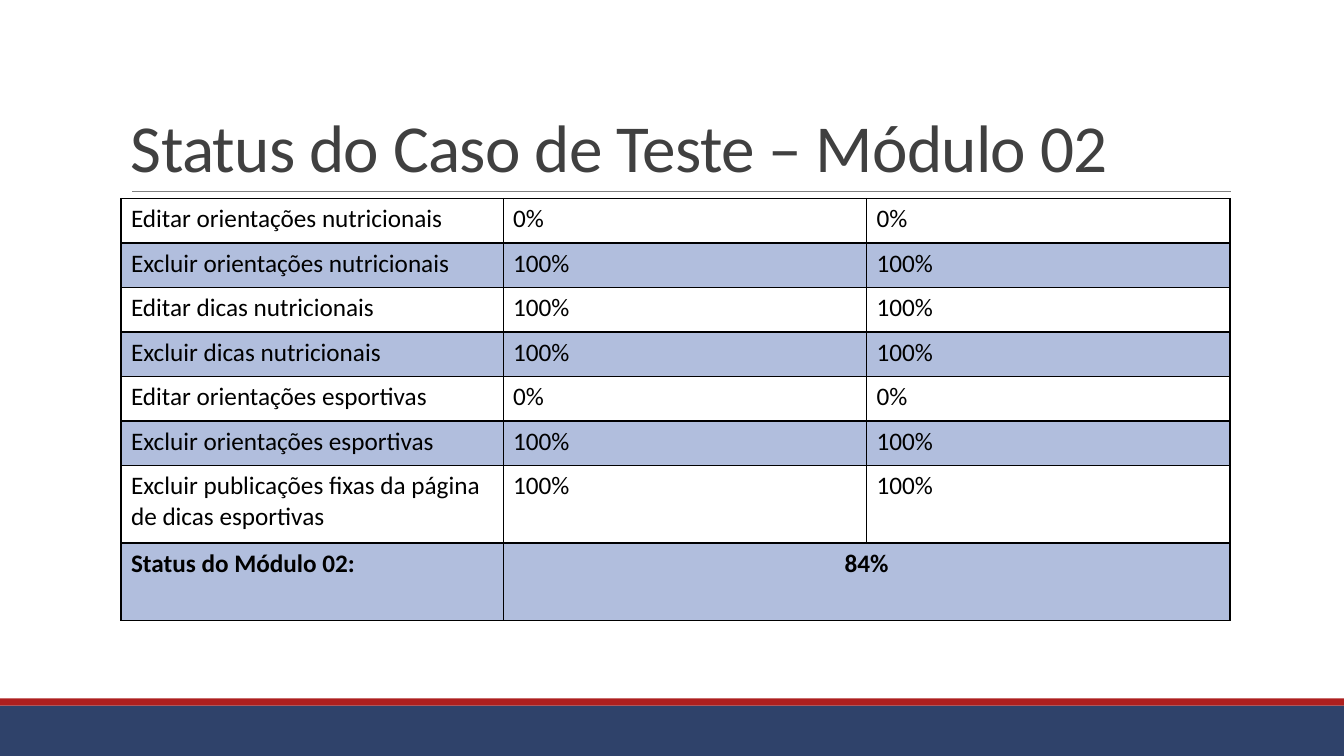
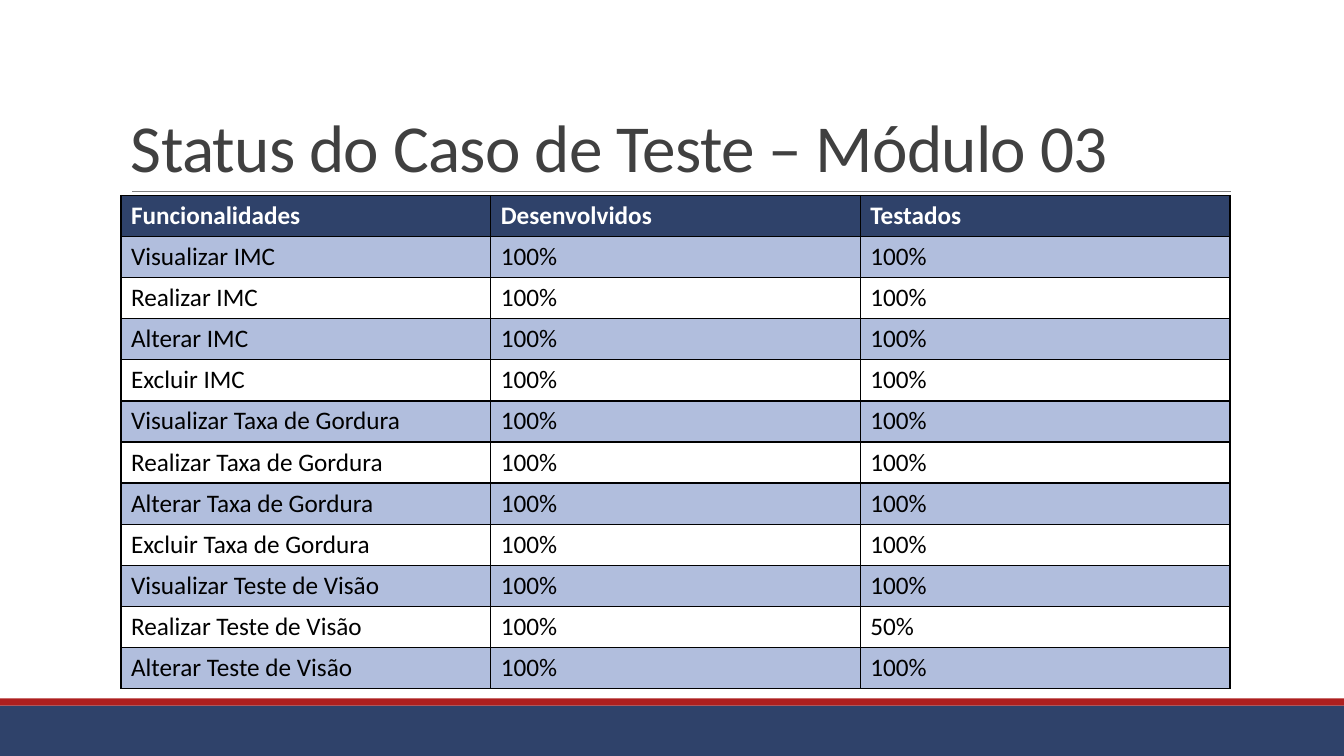
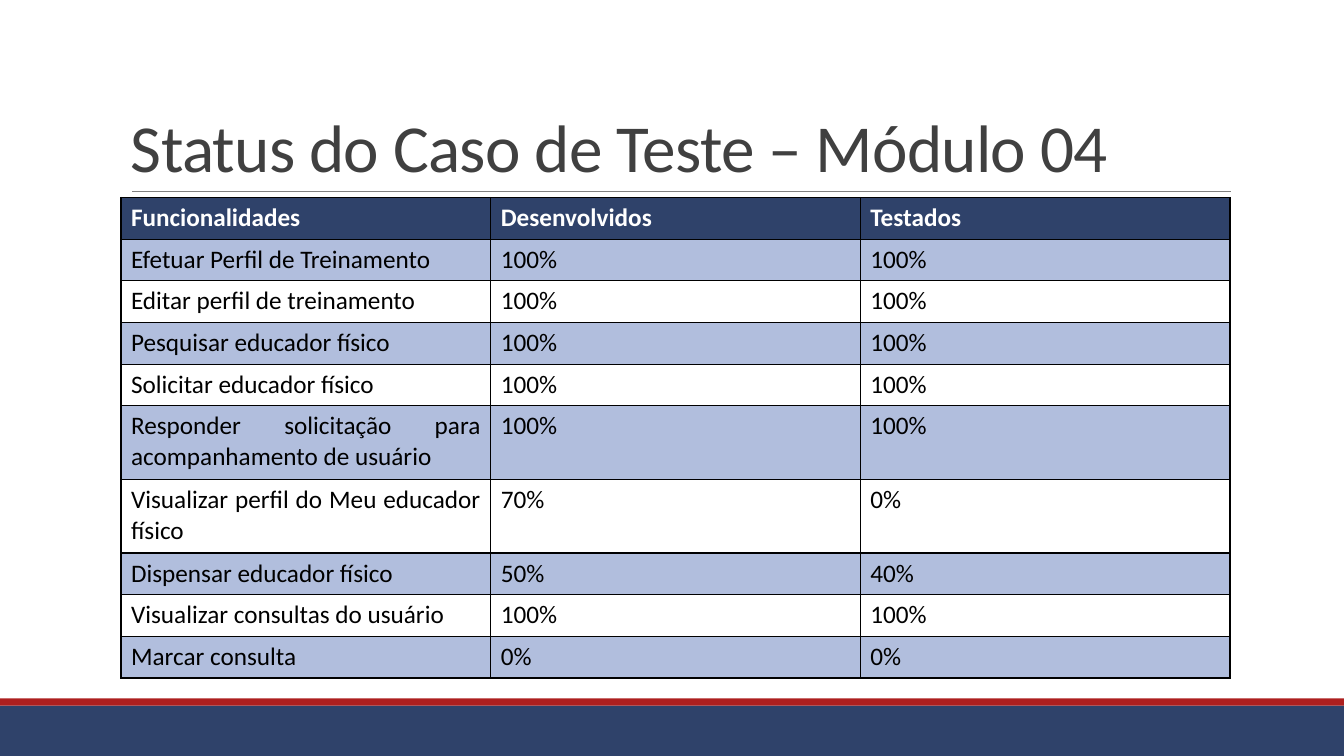
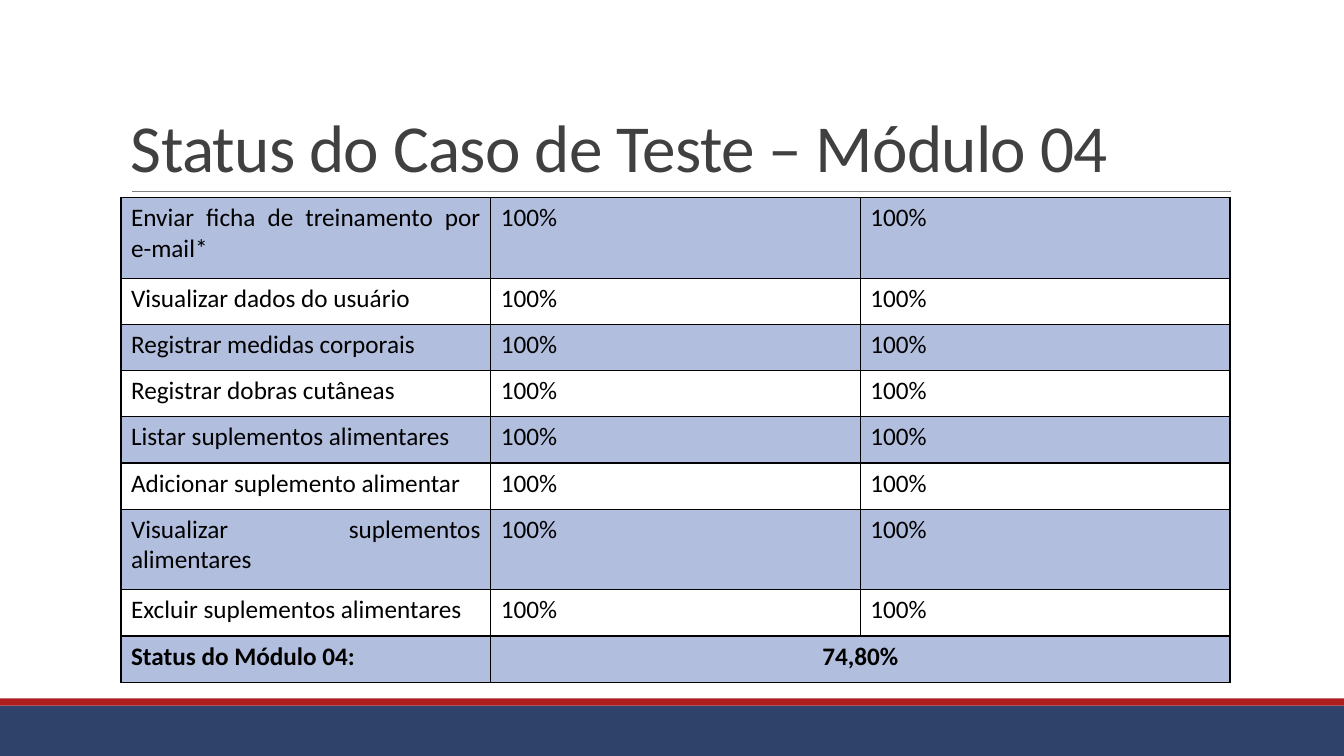
from pptx import Presentation
from pptx.dml.color import RGBColor
from pptx.enum.shapes import MSO_CONNECTOR, MSO_SHAPE
from pptx.enum.text import MSO_ANCHOR, PP_ALIGN
from pptx.oxml.ns import qn
from pptx.util import Inches, Pt
from lxml.etree import SubElement

COLORS = {
    "navy": "2F426A",
    "red": "AD1F1F",
    "rule": "808080",
    "title": "404040",
    "band": "B1BEDD",
    "white": "FFFFFF",
    "black": "000000",
}
FONT = "Calibri"
SLIDE_W, SLIDE_H = 13.33, 7.5
LEFT, WIDTH = 1.2, 11
HEADER = ("Funcionalidades", "Desenvolvidos", "Testados")

TABLES = [
    {
        "module": "02", "top": 1.97, "height": 4.19, "label_w": 3.79,
        "tall": {6: 0.77, 7: 0.77}, "first_band": 1,
        "rows": [
            ("Editar orientações nutricionais", "0%", "0%"),
            ("Excluir orientações nutricionais", "100%", "100%"),
            ("Editar dicas nutricionais", "100%", "100%"),
            ("Excluir dicas nutricionais", "100%", "100%"),
            ("Editar orientações esportivas", "0%", "0%"),
            ("Excluir orientações esportivas", "100%", "100%"),
            ("Excluir publicações fixas da página de dicas esportivas", "100%", "100%"),
            ("Status do Módulo 02:", "84%"),
        ],
    },
    {
        "module": "03", "top": 1.94, "height": 4.89, "first_band": 1,
        "rows": [
            HEADER,
            ("Visualizar IMC", "100%", "100%"),
            ("Realizar IMC", "100%", "100%"),
            ("Alterar IMC", "100%", "100%"),
            ("Excluir IMC", "100%", "100%"),
            ("Visualizar Taxa de Gordura", "100%", "100%"),
            ("Realizar Taxa de Gordura", "100%", "100%"),
            ("Alterar Taxa de Gordura", "100%", "100%"),
            ("Excluir Taxa de Gordura", "100%", "100%"),
            ("Visualizar Teste de Visão", "100%", "100%"),
            ("Realizar Teste de Visão", "100%", "50%"),
            ("Alterar Teste de Visão", "100%", "100%"),
        ],
    },
    {
        "module": "04", "top": 1.96, "height": 4.77, "first_band": 1,
        "tall": {5: 0.73, 6: 0.73}, "align": PP_ALIGN.JUSTIFY,
        "rows": [
            HEADER,
            ("Efetuar Perfil de Treinamento", "100%", "100%"),
            ("Editar perfil de treinamento", "100%", "100%"),
            ("Pesquisar educador físico", "100%", "100%"),
            ("Solicitar educador físico", "100%", "100%"),
            ("Responder solicitação para acompanhamento de usuário", "100%", "100%"),
            ("Visualizar perfil do Meu educador físico", "70%", "0%"),
            ("Dispensar educador físico", "50%", "40%"),
            ("Visualizar consultas do usuário", "100%", "100%"),
            ("Marcar consulta", "0%", "0%"),
        ],
    },
    {
        "module": "04", "top": 1.96, "height": 4.81, "first_band": 0,
        "tall": {0: 0.8, 6: 0.8}, "align": PP_ALIGN.JUSTIFY,
        "rows": [
            ("Enviar ficha de treinamento por e-mail*", "100%", "100%"),
            ("Visualizar dados do usuário", "100%", "100%"),
            ("Registrar medidas corporais", "100%", "100%"),
            ("Registrar dobras cutâneas", "100%", "100%"),
            ("Listar suplementos alimentares", "100%", "100%"),
            ("Adicionar suplemento alimentar", "100%", "100%"),
            ("Visualizar suplementos alimentares", "100%", "100%"),
            ("Excluir suplementos alimentares", "100%", "100%"),
            ("Status do Módulo 04:", "74,80%"),
        ],
    },
]


def rgb(name):
    return RGBColor.from_string(COLORS[name])


def style_run(r, size, color, bold=False):
    r.font.name = FONT
    r.font.size = Pt(size)
    r.font.bold = bold
    r.font.color.rgb = rgb(color)


def add_band(s, top, height, color):
    sp = s.shapes.add_shape(MSO_SHAPE.RECTANGLE, 0, Inches(top), Inches(SLIDE_W), Inches(height))
    sp.shadow.inherit = False
    sp.fill.solid()
    sp.fill.fore_color.rgb = rgb(color)
    sp.line.fill.background()


def add_frame(s):
    add_band(s, 7, 0.5, "navy")
    add_band(s, 6.93, 0.07, "red")
    line = s.shapes.add_connector(
        MSO_CONNECTOR.STRAIGHT, Inches(1.31), Inches(1.9), Inches(12.21), Inches(1.9))
    line.line.color.rgb = rgb("rule")
    line.line.width = Pt(0.5)
    SubElement(line._element.spPr, qn("a:effectLst"))


def add_title(s, text, left, top, width, height):
    tf = s.shapes.add_textbox(Inches(left), Inches(top), Inches(width), Inches(height)).text_frame
    tf.word_wrap = True
    tf.vertical_anchor = MSO_ANCHOR.BOTTOM
    tf.text = text
    p = tf.paragraphs[0]
    p.line_spacing = 0.85
    r = p.runs[0]
    style_run(r, 48, "title")
    r.font._element.set("spc", "-50")


def add_borders(cell):
    tcPr = cell._tc.get_or_add_tcPr()
    for i, side in enumerate(("lnL", "lnR", "lnT", "lnB")):
        ln = tcPr.makeelement(qn(f"a:{side}"), {"w": str(Pt(1))})
        fill = SubElement(ln, qn("a:solidFill"))
        SubElement(fill, qn("a:srgbClr"), val=COLORS["black"])
        tcPr.insert(i, ln)


def style_cell(cell, text, fill, color, bold, align):
    cell.fill.solid()
    cell.fill.fore_color.rgb = rgb(fill)
    add_borders(cell)
    if text:
        cell.text = text
        p = cell.text_frame.paragraphs[0]
        p.alignment = align
        style_run(p.runs[0], 18, color, bold)


def add_status_table(s, left, top, width, height, rows, first_band,
                     label_w=None, tall=None, align=PP_ALIGN.LEFT):
    tall = tall or {}
    label_w = label_w or width / 3
    row_h = (height - sum(tall.values())) / (len(rows) - len(tall))
    table = s.shapes.add_table(
        len(rows), 3, Inches(left), Inches(top), Inches(width), Inches(height)).table
    table.first_row = table.horz_banding = False
    for j, col in enumerate(table.columns):
        col.width = Inches((width - label_w) / 2 if j else label_w)
    for i, row in enumerate(rows):
        table.rows[i].height = Inches(tall.get(i, row_h))
        header, total = row == HEADER, len(row) == 2
        fill = "navy" if header else "band" if i % 2 == first_band else "white"
        color = "white" if header else "black"
        if total:
            table.cell(i, 1).merge(table.cell(i, 2))
        for j in range(3):
            text = row[j] if j < len(row) else ""
            cell_align = PP_ALIGN.LEFT if header or total else align
            if total and j:
                cell_align = PP_ALIGN.CENTER
            style_cell(table.cell(i, j), text, fill, color, header or total, cell_align)


def add_status_slide(prs, module, **table):
    s = prs.slides.add_slide(prs.slide_layouts[6])
    add_frame(s)
    add_title(s, f"Status do Caso de Teste – Módulo {module}", LEFT, 0.31, WIDTH, 1.59)
    add_status_table(s, LEFT, width=WIDTH, **table)


def main():
    prs = Presentation()
    prs.slide_width = Inches(SLIDE_W)
    prs.slide_height = Inches(SLIDE_H)
    for table in TABLES:
        add_status_slide(prs, **table)
    prs.save("out.pptx")


if __name__ == "__main__":
    main()
